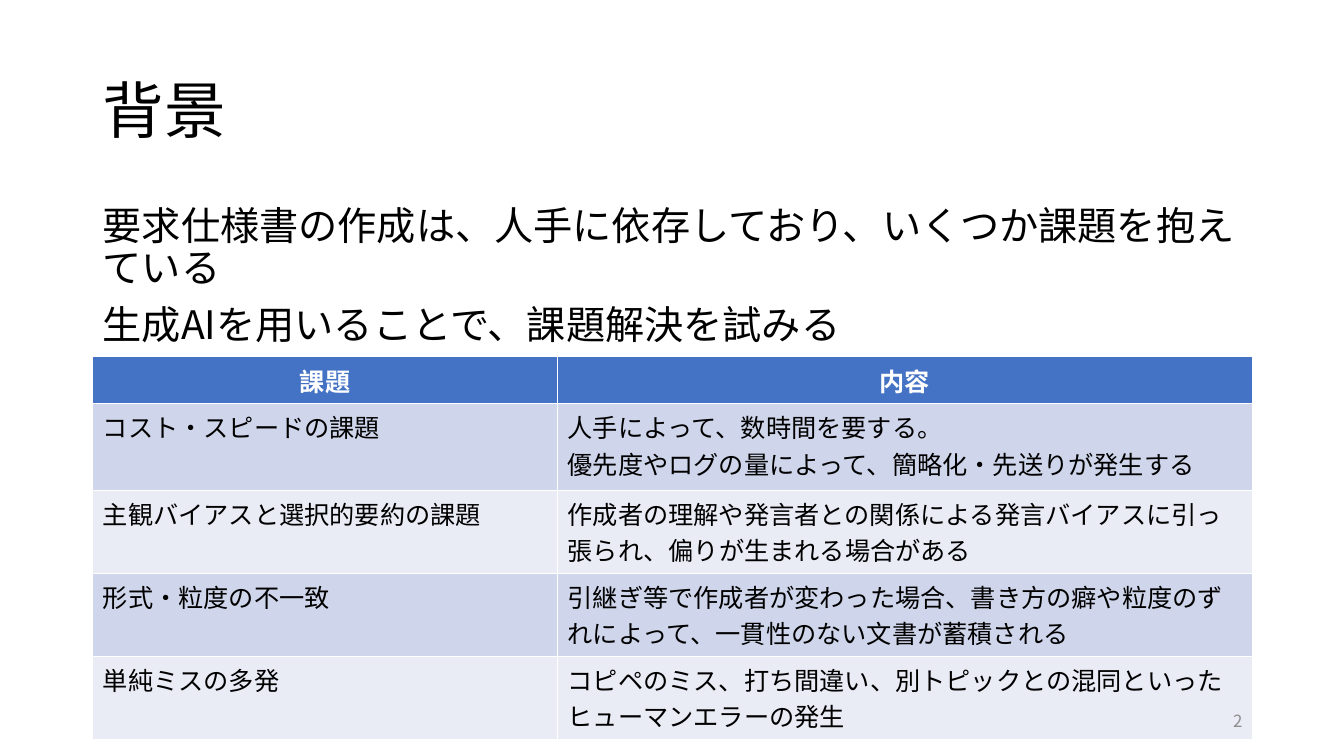
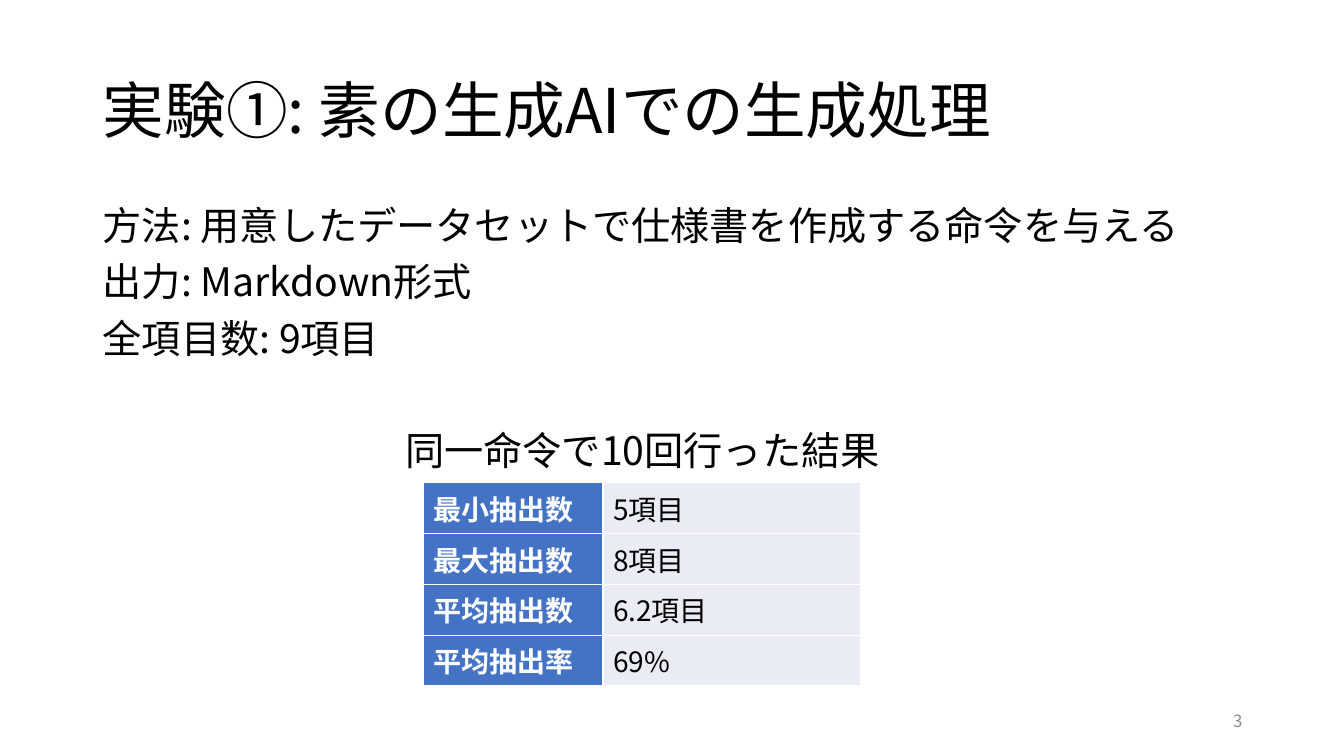
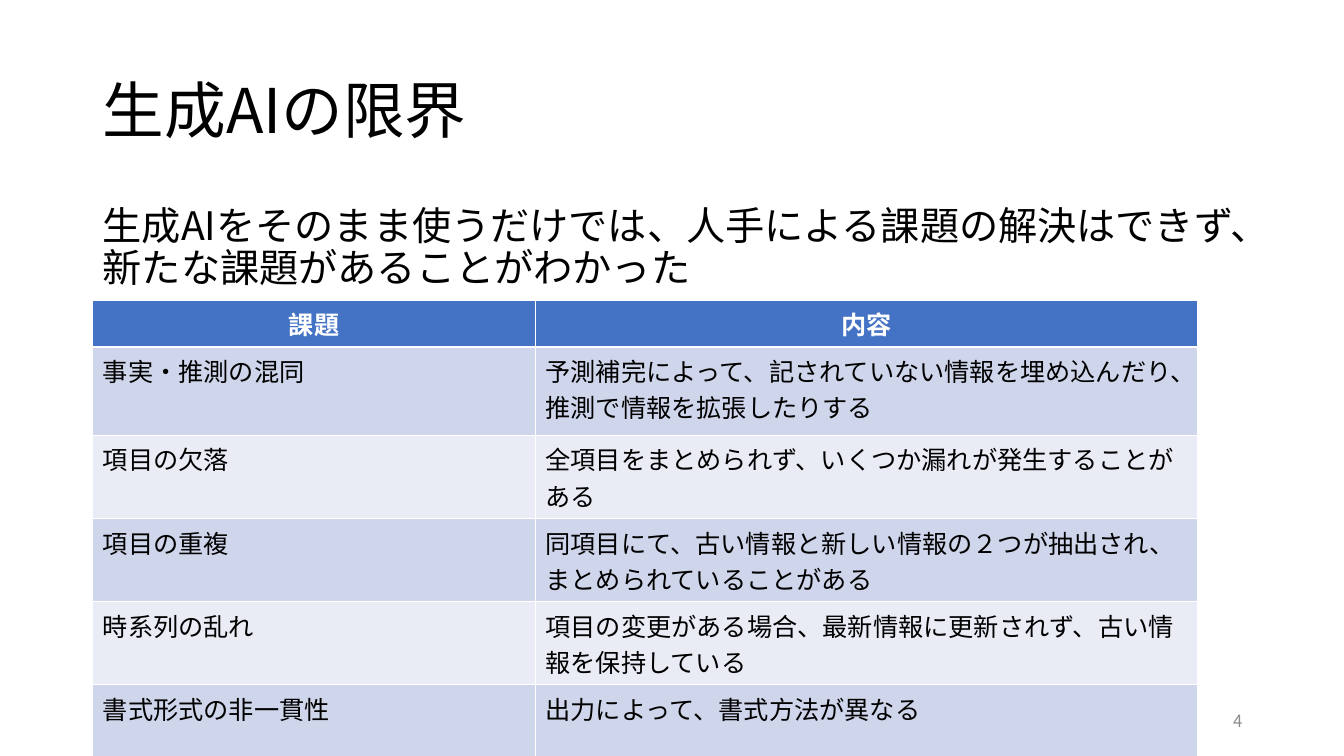
import dataclasses

import lxml.etree
import pptx
import pptx.dml.color
import pptx.enum.text
import pptx.oxml.ns
import pptx.util

Inches = pptx.util.Inches
Pt = pptx.util.Pt
PP_ALIGN = pptx.enum.text.PP_ALIGN
MSO_ANCHOR = pptx.enum.text.MSO_ANCHOR


@dataclasses.dataclass(frozen=True)
class Theme:
    font: str = "Noto Sans CJK JP"
    text: str = "000000"
    header_text: str = "FFFFFF"
    number: str = "8C8C8C"
    header_fill: str = "4472C4"
    band_dark: str = "CFD5EA"
    band_light: str = "E9EBF5"
    title_size: int = 44
    body_size: int = 28
    result_size: int = 20
    table_size: int = 18
    number_size: int = 12
    line_spacing: float = 0.9
    left: float = 0.92
    width: float = 11.5


theme = Theme()


def style(para, size, color=theme.text, align=PP_ALIGN.LEFT, bold=False):
    """Set the font, for Latin and Japanese text alike, and the alignment."""
    para.alignment = align
    para.font.size = Pt(size)
    para.font.bold = bold
    para.font.color.rgb = pptx.dml.color.RGBColor.from_string(color)
    para.font.name = theme.font
    defaults = para._p.pPr.find(pptx.oxml.ns.qn("a:defRPr"))
    east_asian = lxml.etree.SubElement(defaults, pptx.oxml.ns.qn("a:ea"))
    east_asian.set("typeface", theme.font)


def place(shape, left, top, width, height):
    shape.left, shape.top = Inches(left), Inches(top)
    shape.width, shape.height = Inches(width), Inches(height)


# Content: header "row" tables have a heading row, "column" tables a heading column
pages = [
    {
        "title": "背景",
        "body": [
            "要求仕様書の作成は、人手に依存しており、いくつか課題を抱えている",
            "生成AIを用いることで、課題解決を試みる",
        ],
        "body_height": 4.76,
        "header": "row",
        "table_at": (theme.left, 3.54),
        "columns": [4.61, 6.89],
        "heights": [0.21, 0.86, 0.64, 0.64, 0.64],
        "rows": [
            ("課題", "内容"),
            ("コスト・スピードの課題",
             "人手によって、数時間を要する。\n優先度やログの量によって、簡略化・先送りが発生する"),
            ("主観バイアスと選択的要約の課題",
             "作成者の理解や発言者との関係による発言バイアスに引っ張られ、偏りが生まれる場合がある"),
            ("形式・粒度の不一致",
             "引継ぎ等で作成者が変わった場合、書き方の癖や粒度のずれによって、一貫性のない文書が蓄積される"),
            ("単純ミスの多発",
             "コピペのミス、打ち間違い、別トピックとの混同といったヒューマンエラーの発生"),
        ],
    },
    {
        "title": "実験①: 素の生成AIでの生成処理",
        "body": [
            "方法: 用意したデータセットで仕様書を作成する命令を与える",
            "出力: Markdown形式",
            "全項目数: 9項目",
        ],
        "caption": "同一命令で10回行った結果",
        "body_height": 5.1,
        "header": "column",
        "table_at": (4.2, 4.79),
        "columns": [1.78, 2.56],
        "heights": [0.41] * 4,
        "rows": [
            ("最小抽出数", "5項目"),
            ("最大抽出数", "8項目"),
            ("平均抽出数", "6.2項目"),
            ("平均抽出率", "69%"),
        ],
    },
    {
        "title": "生成AIの限界",
        "body": [
            "生成AIをそのまま使うだけでは、人手による課題の解決はできず、新たな課題があることがわかった",
        ],
        "body_height": 4.76,
        "header": "row",
        "table_at": (theme.left, 2.98),
        "columns": [4.39, 6.57],
        "heights": [0.41, 0.88, 0.72, 0.72, 0.79, 0.72],
        "rows": [
            ("課題", "内容"),
            ("事実・推測の混同",
             "予測補完によって、記されていない情報を埋め込んだり、推測で情報を拡張したりする"),
            ("項目の欠落", "全項目をまとめられず、いくつか漏れが発生することがある"),
            ("項目の重複",
             "同項目にて、古い情報と新しい情報の２つが抽出され、まとめられていることがある"),
            ("時系列の乱れ",
             "項目の変更がある場合、最新情報に更新されず、古い情報を保持している"),
            ("書式形式の非一貫性", "出力によって、書式方法が異なる"),
        ],
    },
]

deck = pptx.Presentation()
deck.slide_width, deck.slide_height = Inches(13.33), Inches(7.5)
layout = deck.slide_layouts[1]
place(layout.placeholders[0], theme.left, 0.4, theme.width, 1.45)

for number, page in enumerate(pages, start=2):
    slide = deck.slides.add_slide(layout)

    # Title
    title_frame = slide.shapes.title.text_frame
    title_frame.text = page["title"]
    title_frame.vertical_anchor = MSO_ANCHOR.MIDDLE
    title_frame.auto_size = pptx.enum.text.MSO_AUTO_SIZE.NONE
    title_frame.paragraphs[0].line_spacing = theme.line_spacing
    style(title_frame.paragraphs[0], theme.title_size)

    # Body lines without bullets; a caption is set apart and indented
    body = slide.placeholders[1]
    place(body, theme.left, 2, theme.width, page["body_height"])
    lines = page["body"] + ([page["caption"]] if "caption" in page else [])
    body.text_frame.text = "\n".join(lines)
    body.text_frame.auto_size = pptx.enum.text.MSO_AUTO_SIZE.NONE
    for line, para in zip(lines, body.text_frame.paragraphs):
        is_caption = line == page.get("caption")
        para.line_spacing = theme.line_spacing
        para.space_before = Pt(50 if is_caption else 10)
        style(para, theme.body_size)
        properties = para._p.pPr
        properties.set("marL", str(Inches(3 if is_caption else 0)))
        properties.set("indent", "0")
        defaults = properties.find(pptx.oxml.ns.qn("a:defRPr"))
        defaults.addprevious(lxml.etree.Element(pptx.oxml.ns.qn("a:buNone")))

    # Table
    left, top = page["table_at"]
    table = slide.shapes.add_table(
        len(page["rows"]), len(page["columns"]), Inches(left), Inches(top),
        Inches(sum(page["columns"])), Inches(sum(page["heights"]))).table
    has_header_row = page["header"] == "row"
    table.first_row = table.horz_banding = has_header_row
    table.first_col = not has_header_row
    for column, width in zip(table.columns, page["columns"]):
        column.width = Inches(width)
    for row_index, texts in enumerate(page["rows"]):
        table.rows[row_index].height = Inches(page["heights"][row_index])
        for column_index, text in enumerate(texts):
            cell = table.cell(row_index, column_index)
            is_header = (row_index if has_header_row else column_index) == 0
            if is_header:
                fill = theme.header_fill
            elif has_header_row and row_index % 2:
                fill = theme.band_dark
            else:
                fill = theme.band_light
            cell.fill.solid()
            cell.fill.fore_color.rgb = pptx.dml.color.RGBColor.from_string(fill)
            cell.text = text
            for para in cell.text_frame.paragraphs:
                style(para,
                      theme.table_size if has_header_row else theme.result_size,
                      theme.header_text if is_header else theme.text,
                      PP_ALIGN.CENTER if is_header and has_header_row else PP_ALIGN.LEFT,
                      is_header)

    # Slide number
    number_box = slide.shapes.add_textbox(Inches(9.42), Inches(6.95), Inches(3), Inches(0.4))
    number_box.text_frame.word_wrap = True
    number_box.text_frame.vertical_anchor = MSO_ANCHOR.MIDDLE
    number_box.text_frame.text = str(number)
    style(number_box.text_frame.paragraphs[0], theme.number_size, theme.number, PP_ALIGN.RIGHT)

deck.save("out.pptx")
